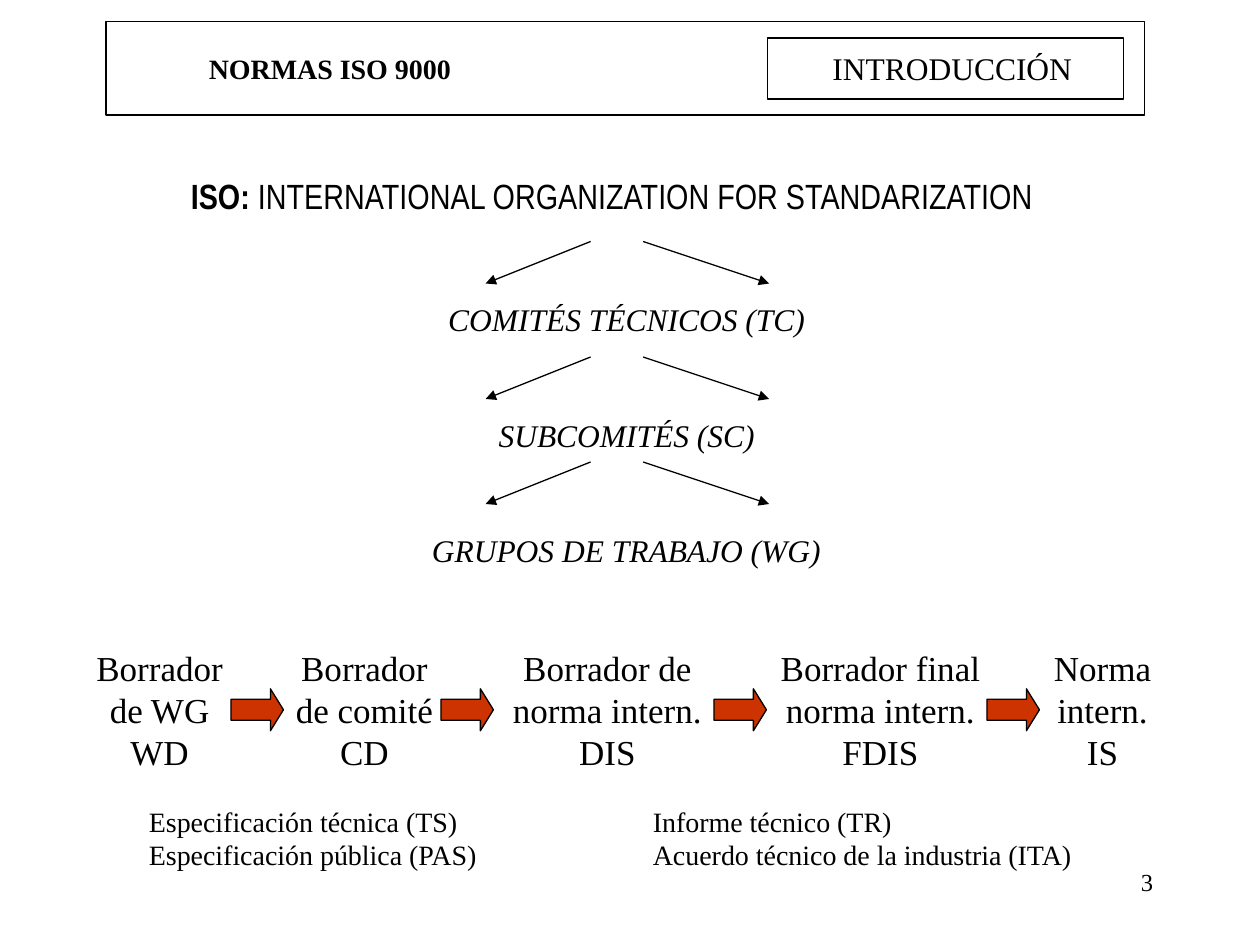
from dataclasses import dataclass

from lxml.etree import SubElement
from pptx import Presentation
from pptx.dml.color import RGBColor as RGB
from pptx.enum.shapes import MSO_CONNECTOR as CONN, MSO_SHAPE as SHAPE
from pptx.enum.text import MSO_ANCHOR as ANCHOR, PP_ALIGN as ALIGN
from pptx.oxml.ns import qn
from pptx.util import Inches, Pt


@dataclass(frozen=True)
class Theme:
    ink: RGB = RGB(0, 0, 0)
    arrow: RGB = RGB(0xCC, 0x33, 0x00)
    serif: str = "Times New Roman"
    narrow: str = "Arial Narrow"
    number: int = 14
    small: int = 16
    body: int = 18
    large: int = 20


T = Theme()
COLS, ROWS = 120, 90  # square grid cells over the whole slide


def cell(n):
    return Inches(n * 10 / COLS)


def add_text(s, x, y, w, h, paras, size, font=T.serif, align=ALIGN.LEFT,
             wrap=True, anchor=ANCHOR.TOP, spacing=None, indent=0, tab=None):
    """Each paragraph is a list of (text, style) runs; style holds b and i."""
    tf = s.shapes.add_textbox(cell(x), cell(y), cell(w), cell(h)).text_frame
    tf.word_wrap = wrap
    tf.vertical_anchor = anchor
    for k, runs in enumerate(paras):
        p = tf.add_paragraph() if k else tf.paragraphs[0]
        p.alignment = align
        if spacing:
            p.line_spacing = spacing
        pPr = p._p.get_or_add_pPr()
        if indent:
            pPr.set("marL", str(cell(indent)))
        if tab:
            tabs = SubElement(pPr, qn("a:tabLst"))
            SubElement(tabs, qn("a:tab"), pos=str(cell(tab)), algn="l")
        for text, style in runs:
            r = p.add_run()
            r.text = text
            r.font.name, r.font.size = font, Pt(size)
            r.font.color.rgb = T.ink
            r.font.bold, r.font.italic = "b" in style, "i" in style


def add_block(s, kind, x, y, w, h, fill=None, line=1):
    sp = s.shapes.add_shape(kind, cell(x), cell(y), cell(w), cell(h))
    sp.shadow.inherit = False
    if fill is None:
        sp.fill.background()
    else:
        sp.fill.solid()
        sp.fill.fore_color.rgb = fill
    sp.line.color.rgb, sp.line.width = T.ink, Pt(line)
    return sp


def add_arrow(group, x1, y1, x2, y2):
    c = group.shapes.add_connector(CONN.STRAIGHT, cell(x1), cell(y1), cell(x2), cell(y2))
    c.line.color.rgb, c.line.width = T.ink, Pt(0.75)
    spPr = c._element.spPr
    SubElement(spPr.find(qn("a:ln")), qn("a:tailEnd"), type="triangle")
    SubElement(spPr, qn("a:effectLst"))


def header(s, x, y, w, h):
    add_text(s, x - 2, y + 0.5, w + 3, h - 1, [[("NORMAS ISO 9000", "b")]],
             T.small, anchor=ANCHOR.MIDDLE, indent=10.6)
    add_block(s, SHAPE.RECTANGLE, x, y, w, h)
    add_block(s, SHAPE.RECTANGLE, x + 63, y + 1.6, 33.9, 5.8)
    add_text(s, x + 68, y + 2, 25.3, 4.8, [[("INTRODUCCIÓN", "")]], T.body, wrap=False)


def hierarchy(s, x, y, w):
    """ISO over its levels of committees, each under a pair of arrows."""
    add_text(s, x, y, w, 7.2,
             [[("ISO:", "b"), (" INTERNATIONAL ORGANIZATION FOR STANDARIZATION", "")]],
             T.large, font=T.narrow, spacing=1.5)
    mid = x + w / 2 + 0.2
    levels = [("COMITÉS TÉCNICOS (TC)", 36.4, 9), ("SUBCOMITÉS (SC)", 26.8, 20),
              ("GRUPOS DE TRABAJO (WG)", 39.5, 30)]
    for k, (name, width, top) in enumerate(levels):
        pair = s.shapes.add_group_shape()
        for start, end in ((-3.45, -13.45), (1.55, 13.55)):
            add_arrow(pair, mid + start, y + top, mid + end, y + top + 4)
        add_text(s, mid - width / 2, y + 14 + 11 * k, width, 4.8,
                 [[(name, "i")]], T.body, wrap=False)


def process(s, x, y):
    """Draft stages from left to right, with a block arrow between each two."""
    stages = [(-0.8, 16, ["Borrador", "de WG", "WD"]),
              (18.7, 16, ["Borrador", "de comité", "CD"]),
              (36, 27.7, ["Borrador de norma intern.", "DIS"]),
              (62, 27.7, ["Borrador final norma intern.", "FDIS"]),
              (89, 16, ["Norma intern.", "IS"])]
    for left, width, lines in stages:
        add_text(s, x + left, y, width, 13.2, [[(t, "")] for t in lines], T.large,
                 align=ALIGN.CENTER)
    for left in (14, 34, 60, 86):
        sp = add_block(s, SHAPE.RIGHT_ARROW, x + left, y + 4.6, 5, 4, T.arrow, 0.75)
        sp.adjustments[1] = 0.31


def footer(s, x, y, w):
    lines = ["Especificación técnica (TS)\tInforme técnico (TR)",
             "Especificación pública (PAS)\tAcuerdo técnico de la industria (ITA)"]
    add_text(s, x, y, w, 7.7, [[(t, "")] for t in lines], T.small, tab=48)
    add_text(s, x + 73, y + 6, 25, 6, [[("3", "")]], T.number, align=ALIGN.RIGHT)


def main():
    prs = Presentation()
    prs.slide_width, prs.slide_height = cell(COLS), cell(ROWS)
    s = prs.slides.add_slide(prs.slide_layouts[6])
    header(s, 10.1, 2.05, 98.9, 8.9)
    hierarchy(s, 17, 14, 85)
    process(s, 8, 61)
    footer(s, 13, 76, 91)
    prs.save("out.pptx")


if __name__ == "__main__":
    main()
